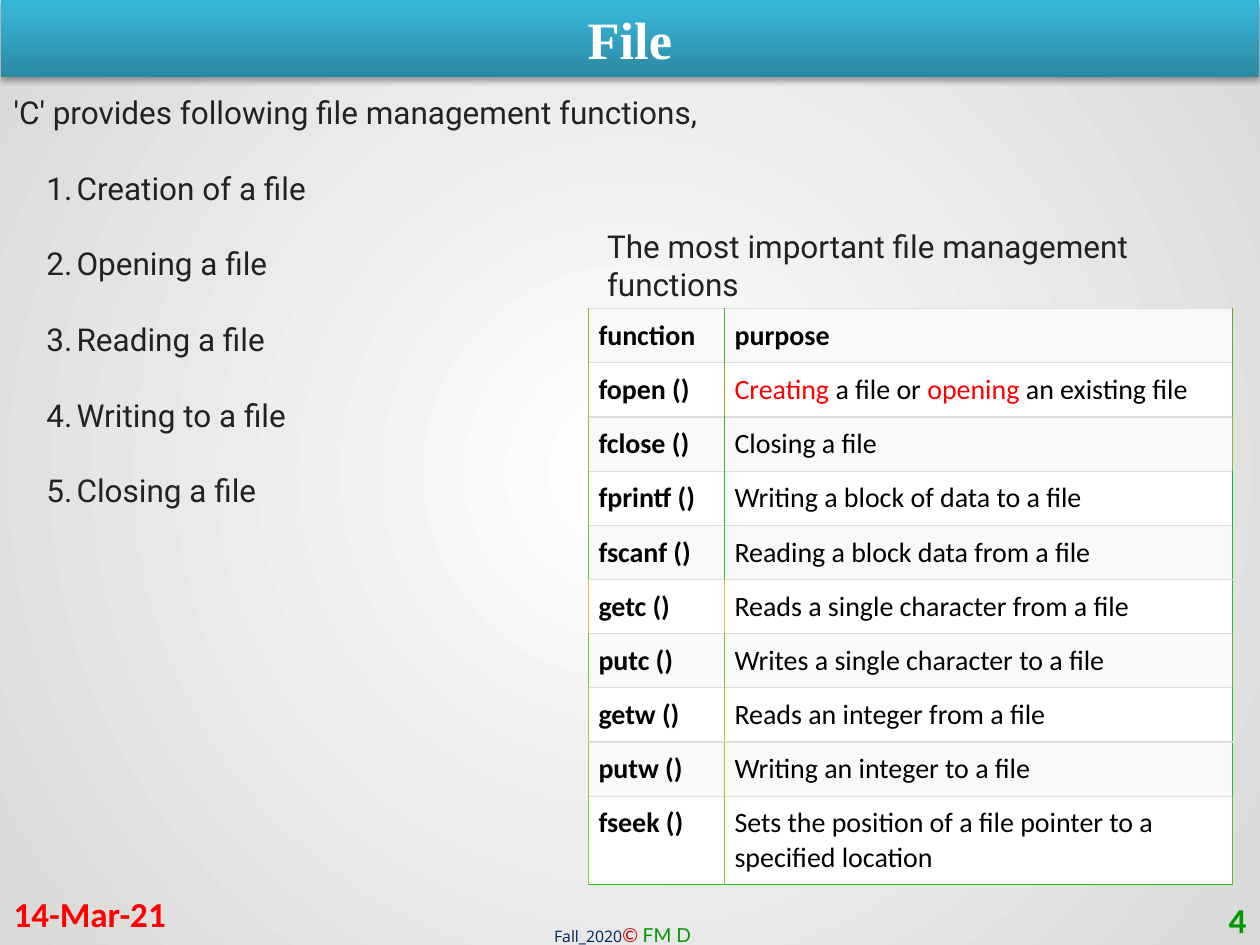
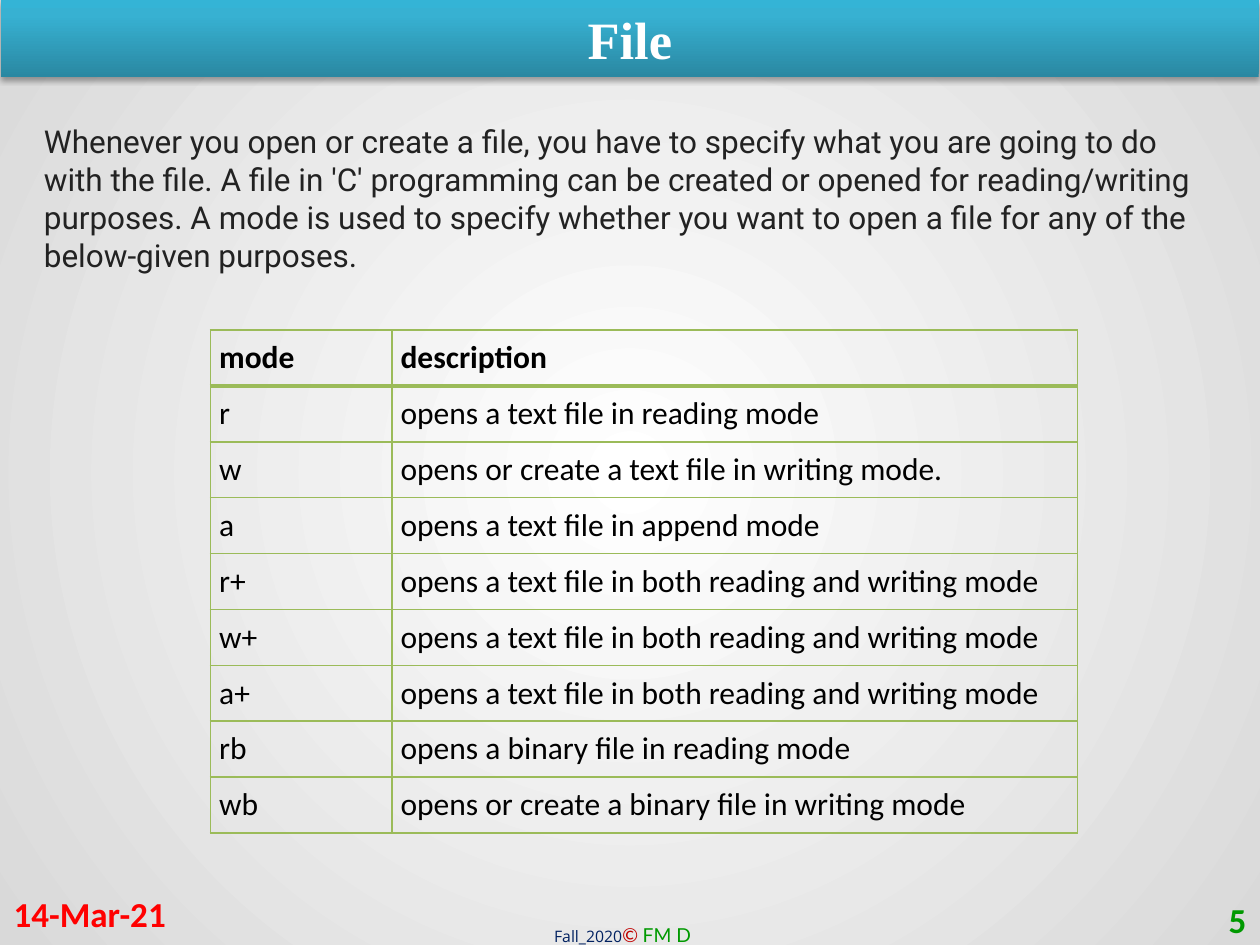
"""Builds two slides on file management in C."""
from dataclasses import dataclass
from typing import NamedTuple

from pptx import Presentation
from pptx.dml.color import RGBColor
from pptx.enum.text import MSO_ANCHOR, MSO_AUTO_SIZE, PP_ALIGN
from pptx.oxml import parse_xml
from pptx.oxml.ns import nsdecls, qn
from pptx.util import Inches, Pt

COLORS = {
    "white": "FFFFFF", "edge": "D9D9D9", "band_low": "2A88A2",
    "band_mid": "37B1D2", "band_top": "34B4D6", "body": "222222",
    "black": "000000", "red": "FF0000", "green": "009900", "navy": "002060",
    "crimson": "C00000", "stripe": "F9F9F9", "rule": "DDDDDD",
    "last_rule": "20BE29", "olive": "9BBB59",
}


class Run(NamedTuple):
    text: str
    size: float
    font: str
    color: str
    bold: bool = False
    italic: bool = False


class Box(NamedTuple):
    left: float
    top: float
    width: float
    height: float


class Edge(NamedTuple):
    color: str
    width: float


@dataclass
class Cell:
    runs: list[Run]
    edges: dict[str, Edge]
    fill: str | None = None


@dataclass
class Grid:
    left: float
    top: float
    widths: list[float]
    heights: list[float]
    inset: float
    rows: list[list[Cell]]


class FunctionRow(NamedTuple):
    name: str
    purpose: list[tuple[str, str]]
    sides: tuple[str, str, str]


FUNCTIONS = [
    FunctionRow("function", [("purpose", "black")], ("A0AD29", "40AD29", "60AB29")),
    FunctionRow("fopen ()", [("Creating", "red"), (" a file or ", "black"),
                             ("opening ", "red"), ("an existing file", "black")],
                ("C0B729", "80B229", "60B229")),
    FunctionRow("fclose ()", [("Closing a file", "black")],
                ("C0B529", "40B929", "80BF29")),
    FunctionRow("fprintf ()", [("Writing a block of data to a file", "black")],
                ("80BF29", "20BE29", "00BE29")),
    FunctionRow("fscanf ()", [("Reading a block data from a file", "black")],
                ("60C429", "20C729", "20BE29")),
    FunctionRow("getc ()", [("Reads a single character from a file", "black")],
                ("E0C329", "E0C329", "20BE29")),
    FunctionRow("putc ()", [("Writes a single character to a file", "black")],
                ("80C629", "80C629", "60BA29")),
    FunctionRow("getw ()", [("Reads an integer from a file", "black")],
                ("A0CC29", "A0CC29", "20BE29")),
    FunctionRow("putw ()", [("Writing an integer to a file", "black")],
                ("A0CF29", "A0CF29", "20BE29")),
    FunctionRow("fseek ()", [("Sets the position of a file pointer to a specified location",
                              "black")],
                ("80D029", "80D029", "60BA29")),
]

BOTH = "opens a text file in both reading and writing mode"
MODES = [
    ("mode", "description"),
    ("r", "opens a text file in reading mode"),
    ("w", "opens or create a text file in writing mode."),
    ("a", "opens a text file in append mode"),
    ("r+", BOTH), ("w+", BOTH), ("a+", BOTH),
    ("rb", "opens a binary file in reading mode"),
    ("wb", "opens or create a binary file in writing mode"),
]

STEPS = ["Creation of a file", "Opening a file", "Reading a file",
         "Writing to a file", "Closing a file"]


def gradient(stops: list[tuple[int, str]], direction: str):
    """Return a gradient fill element."""
    marks = "".join(f'<a:gs pos="{pos * 1000}"><a:srgbClr val="{COLORS[name]}"/></a:gs>'
                    for pos, name in stops)
    return parse_xml(f'<a:gradFill {nsdecls("a")} rotWithShape="1">'
                     f"<a:gsLst>{marks}</a:gsLst>{direction}</a:gradFill>")


def set_background(master) -> None:
    """Give every slide the radial grey background."""
    master.background.fill.solid()
    bg = master.element.find(".//" + qn("p:bgPr"))
    bg.replace(bg[0], gradient(
        [(0, "white"), (100, "edge")],
        '<a:path path="circle"><a:fillToRect l="50000" t="50000" r="50000" b="50000"/></a:path>'))


def add_runs(p, runs: list[Run]) -> None:
    """Add formatted runs to a paragraph."""
    for run in runs:
        r = p.add_run()
        r.text = run.text
        r.font.size = Pt(run.size)
        r.font.name = run.font
        r.font.bold = run.bold
        r.font.italic = run.italic
        r.font.color.rgb = RGBColor.from_string(COLORS[run.color])


def add_text(s, box: Box, runs: list[Run], align=PP_ALIGN.LEFT, anchor=MSO_ANCHOR.TOP):
    """Add a wrapped text box and return its text frame."""
    tf = s.shapes.add_textbox(*map(Inches, box)).text_frame
    tf.word_wrap = True
    tf.vertical_anchor = anchor
    tf.paragraphs[0].alignment = align
    add_runs(tf.paragraphs[0], runs)
    return tf


def body(text: str) -> list[Run]:
    """Return body text as a single run."""
    return [Run(text, 18, "Roboto", "body")]


def add_numbered(tf, items: list[str]) -> None:
    """Append numbered paragraphs with double line spacing."""
    for item in items:
        p = tf.add_paragraph()
        p.level = 1
        p.line_spacing = 2.0
        pPr = p._p.get_or_add_pPr()
        pPr.set("marL", str(Inches(0.5)))
        pPr.set("indent", str(Inches(-0.24)))
        pPr.append(parse_xml(f'<a:buAutoNum {nsdecls("a")} type="arabicPeriod"/>'))
        add_runs(p, body(item))


def draw_band(s, text: str) -> None:
    """Turn the title placeholder into the shaded top band."""
    sp = s.shapes.title
    sp.left, sp.top, sp.width, sp.height = map(Inches, (0.01, 0, 9.98, 0.61))
    spPr = sp._element.spPr
    spPr.append(gradient([(0, "band_low"), (80, "band_mid"), (100, "band_top")],
                         '<a:lin ang="16200000" scaled="0"/>'))
    spPr.append(parse_xml(
        f'<a:effectLst {nsdecls("a")}><a:outerShdw blurRad="{Pt(3.1)}" dist="{Pt(1.8)}" '
        f'dir="5400000" rotWithShape="0"><a:srgbClr val="{COLORS["black"]}">'
        '<a:alpha val="35000"/></a:srgbClr></a:outerShdw></a:effectLst>'))
    tf = sp.text_frame
    tf.auto_size = MSO_AUTO_SIZE.NONE
    tf.vertical_anchor = MSO_ANCHOR.MIDDLE
    tf.paragraphs[0].alignment = PP_ALIGN.CENTER
    add_runs(tf.paragraphs[0], [Run(text, 30, "Times New Roman", "white", bold=True)])


def draw_footer(s, number: int) -> None:
    """Add the term mark, the date and the slide number."""
    add_text(s, Box(4.3, 7.28, 1.4, 0.29), [
        Run("Fall_2020", 9, "Open Sans", "navy"),
        Run("© ", 11, "Lato", "crimson", italic=True),
        Run("FM D", 11, "Lato", "green")])
    add_text(s, Box(0.01, 7.05, 2.33, 0.4),
             [Run("14-Mar-21", 20, "Calibri", "red", bold=True)],
             anchor=MSO_ANCHOR.MIDDLE)
    add_text(s, Box(7.66, 7.1, 2.33, 0.4),
             [Run(str(number), 20, "Calibri", "green", bold=True)],
             PP_ALIGN.RIGHT, MSO_ANCHOR.MIDDLE)


def new_slide(prs, title: str, number: int):
    """Add a slide with the shared band and footer."""
    s = prs.slides.add_slide(prs.slide_layouts[5])
    draw_band(s, title)
    draw_footer(s, number)
    return s


def format_cell(target, cell: Cell, inset: float) -> None:
    """Apply borders, fill, margins and text to a table cell."""
    tcPr = target._tc.get_or_add_tcPr()
    for side in "LRTB":
        edge = cell.edges[side]
        tcPr.append(parse_xml(
            f'<a:ln{side} {nsdecls("a")} w="{Pt(edge.width)}"><a:solidFill>'
            f'<a:srgbClr val="{edge.color}"/></a:solidFill></a:ln{side}>'))
    if cell.fill:
        target.fill.solid()
        target.fill.fore_color.rgb = RGBColor.from_string(COLORS[cell.fill])
    else:
        target.fill.background()
    target.margin_left = target.margin_right = Inches(inset)
    target.margin_top = target.margin_bottom = Inches(inset)
    add_runs(target.text_frame.paragraphs[0], cell.runs)


def draw_grid(s, grid: Grid) -> None:
    """Draw a table from its grid description."""
    box = Box(grid.left, grid.top, sum(grid.widths), sum(grid.heights))
    table = s.shapes.add_table(len(grid.rows), len(grid.widths), *map(Inches, box)).table
    table.first_row = table.horz_banding = False
    for column, width in zip(table.columns, grid.widths):
        column.width = Inches(width)
    for i, (row, height) in enumerate(zip(grid.rows, grid.heights)):
        table.rows[i].height = Inches(height)
        for j, cell in enumerate(row):
            format_cell(table.cell(i, j), cell, grid.inset)


def function_cells() -> list[list[Cell]]:
    """Return the striped rows of the function table."""
    rule = Edge(COLORS["rule"], 0.75)
    rows = []
    for i, row in enumerate(FUNCTIONS):
        left, middle, right = (Edge(color, 1) for color in row.sides)
        bottom = Edge(COLORS["last_rule"], 1) if row is FUNCTIONS[-1] else rule
        fill = "white" if i % 2 else "stripe"
        name = [Run(row.name, 16, "Calibri", "black", bold=True)]
        purpose = [Run(text, 16, "Calibri", color, bold=i == 0)
                   for text, color in row.purpose]
        rows.append([
            Cell(name, {"L": left, "R": middle, "T": rule, "B": bottom}, fill),
            Cell(purpose, {"L": middle, "R": right, "T": rule, "B": bottom}, fill)])
    return rows


def mode_cells() -> list[list[Cell]]:
    """Return the unfilled rows of the mode table."""
    rows = []
    for i, texts in enumerate(MODES):
        edges = dict.fromkeys("LRTB", Edge(COLORS["olive"], 1))
        if i == 0:
            edges["B"] = Edge(COLORS["olive"], 2)
        rows.append([Cell([Run(text, 18, "Calibri", "black", bold=i == 0)], edges)
                     for text in texts])
    return rows


def build_functions(prs) -> None:
    """Build the slide on file management functions."""
    s = new_slide(prs, "File", 4)
    tf = add_text(s, Box(0.01, 0.69, 8.83, 3.43),
                  body("'C' provides following file management functions,"))
    add_numbered(tf, STEPS)
    draw_grid(s, Grid(4.67, 2.45, [1.08, 4.03], [0.43] * 9 + [0.7], 0.08, function_cells()))
    add_text(s, Box(4.72, 1.75, 5.03, 0.71),
             body("The most important file management functions"))


def build_modes(prs) -> None:
    """Build the slide on file opening modes."""
    s = new_slide(prs, "File", 5)
    add_text(s, Box(0.25, 0.92, 9.5, 1.31), body(
        "Whenever you open or create a file, you have to specify what you are going to do "
        "with the file. A file in 'C' programming can be created or opened for "
        "reading/writing purposes. A mode is used to specify whether you want to open a "
        "file for any of the below-given purposes."))
    draw_grid(s, Grid(1.67, 2.62, [1.44, 5.44], [3.99 / len(MODES)] * len(MODES),
                      0.07, mode_cells()))


def main() -> None:
    """Build and save the presentation."""
    prs = Presentation()
    prs.slide_width, prs.slide_height = Inches(10), Inches(7.5)
    set_background(prs.slide_master)
    build_functions(prs)
    build_modes(prs)
    prs.save("out.pptx")


if __name__ == "__main__":
    main()
